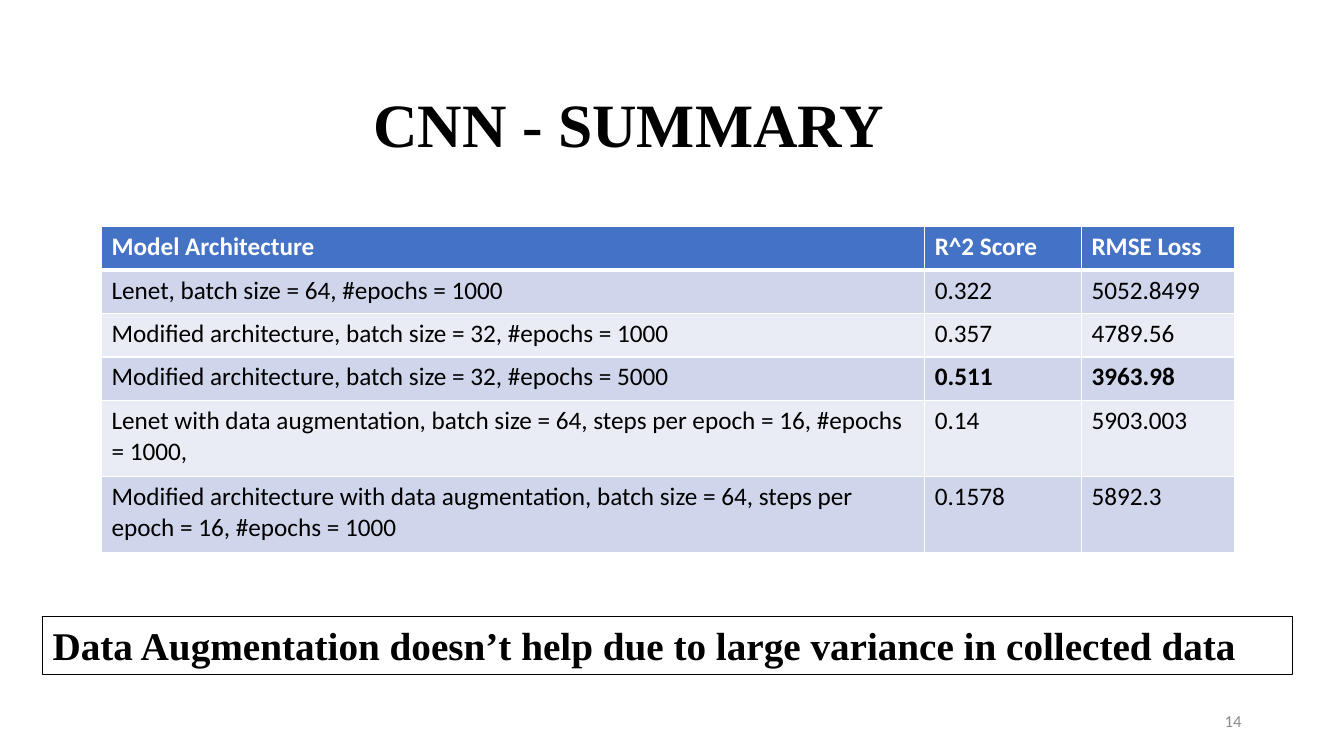
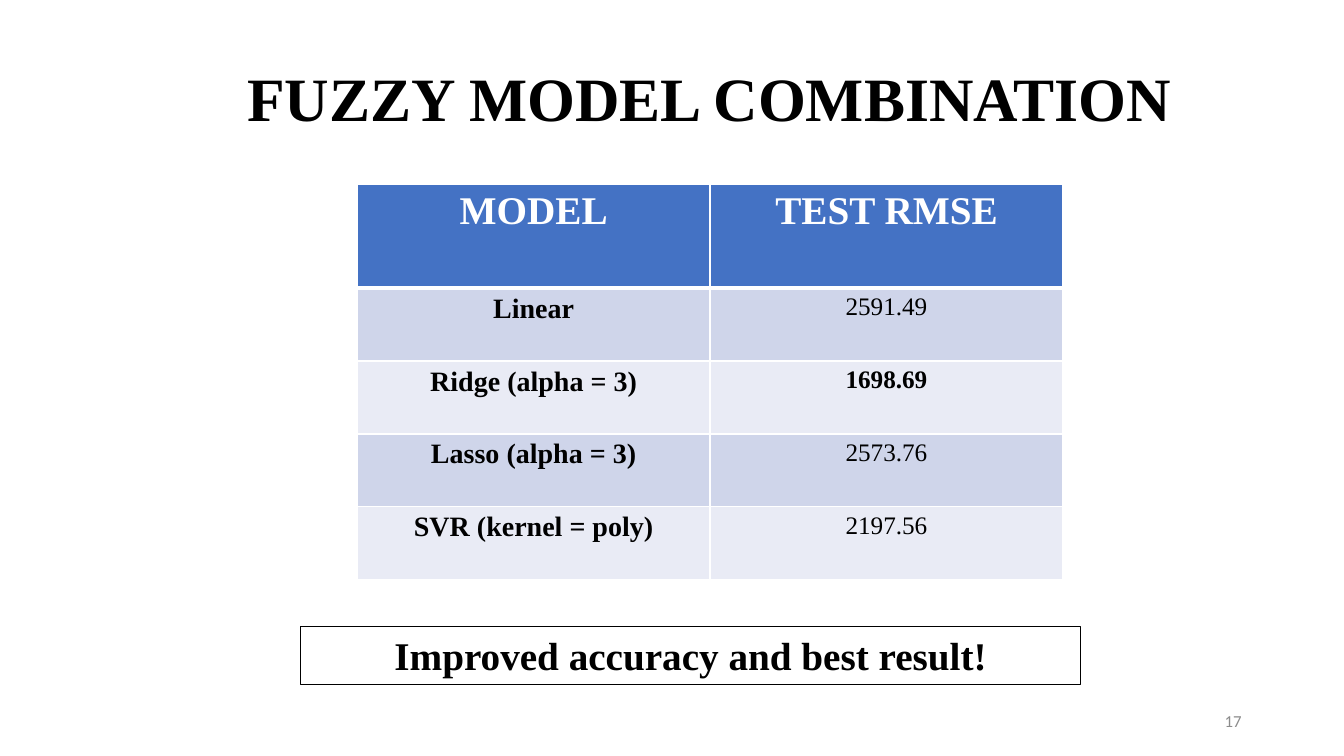
from lxml import etree
from pptx import Presentation
from pptx.dml.color import RGBColor
from pptx.enum import text as text_enum
from pptx.enum.shapes import MSO_SHAPE
from pptx.oxml.ns import qn
from pptx.util import Pt

COLORS = {
    "ink": "000000",
    "white": "FFFFFF",
    "header": "4472C4",
    "odd_row": "CFD5EA",
    "even_row": "E9EBF5",
    "number": "8C8C8C",
}
SERIF, SANS = "Times New Roman", "Calibri"
ALIGN, ANCHOR = text_enum.PP_ALIGN, text_enum.MSO_ANCHOR
TITLE_ONLY = 5


def color(name):
    return RGBColor.from_string(COLORS[name])


def write(frame, content, size=18, font=SANS, ink="ink", bold=False,
          align=ALIGN.LEFT, anchor=ANCHOR.TOP, spacing=None):
    frame.word_wrap = True
    frame.vertical_anchor = anchor
    paragraph = frame.paragraphs[0]
    paragraph.alignment = align
    if spacing:
        paragraph.line_spacing = spacing
    run = paragraph.add_run()
    run.text = content
    run.font.size = Pt(size)
    run.font.name = font
    run.font.bold = bold
    run.font.color.rgb = color(ink)


def add_title(slide, content, box):
    title = slide.shapes.title
    title.left, title.top, title.width, title.height = map(Pt, box)
    write(title.text_frame, content, size=44, font=SERIF, bold=True,
          align=ALIGN.CENTER, anchor=ANCHOR.MIDDLE, spacing=0.9)


def add_number(slide, number, box=(678, 500.5, 216, 28.75)):
    shape = slide.shapes.add_textbox(*map(Pt, box))
    write(shape.text_frame, str(number), size=12, ink="number",
          align=ALIGN.RIGHT, anchor=ANCHOR.MIDDLE)


def add_conclusion(slide, content, box, align=ALIGN.LEFT):
    shape = slide.shapes.add_shape(MSO_SHAPE.RECTANGLE, *map(Pt, box))
    shape.shadow.inherit = False
    shape.fill.background()
    shape.line.color.rgb = color("ink")
    shape.line.width = Pt(0.75)
    write(shape.text_frame, content, size=28, font=SERIF, bold=True, align=align)


def set_borders(cell, top, bottom):
    """Draw white cell borders; side borders are one point wide."""
    properties = cell._tc.get_or_add_tcPr()
    widths = {"a:lnL": 1, "a:lnR": 1, "a:lnT": top, "a:lnB": bottom}
    for position, (tag, width) in enumerate(widths.items()):
        line = etree.Element(qn(tag), w=str(Pt(width)))
        fill = etree.SubElement(line, qn("a:solidFill"))
        etree.SubElement(fill, qn("a:srgbClr"), val=COLORS["white"])
        properties.insert(position, line)


def add_results(slide, rows, origin, widths, heights, text_format):
    """Add a banded table; text_format(row, column) gives the text keywords."""
    box = (*origin, sum(widths), sum(heights))
    table = slide.shapes.add_table(len(rows), len(widths), *map(Pt, box)).table
    for column, width in zip(table.columns, widths):
        column.width = Pt(width)
    for r, (values, height) in enumerate(zip(rows, heights)):
        table.rows[r].height = Pt(height)
        fill = "header" if r == 0 else "odd_row" if r % 2 else "even_row"
        for c, value in enumerate(values):
            cell = table.cell(r, c)
            cell.fill.solid()
            cell.fill.fore_color.rgb = color(fill)
            set_borders(cell, top=3 if r == 1 else 1, bottom=3 if r == 0 else 1)
            write(cell.text_frame, value, ink="white" if r == 0 else "ink",
                  **text_format(r, c))


def cnn_format(row, column):
    best_row = 3
    return {"bold": row == 0 or (row == best_row and column > 0)}


def fuzzy_format(row, column):
    best_row = 2
    size = 28 if row == 0 else 20 if column == 0 else 18
    return {"size": size, "font": SERIF, "align": ALIGN.CENTER,
            "bold": row in (0, best_row) or column == 0}


def add_cnn_slide(presentation):
    slide = presentation.slides.add_slide(presentation.slide_layouts[TITLE_ONLY])
    add_title(slide, "CNN - SUMMARY", (35.5, 39, 828, 104.4))
    add_number(slide, 14)
    rows = [
        ("Model Architecture", "R^2 Score", "RMSE Loss"),
        ("Lenet, batch size = 64, #epochs = 1000", "0.322", "5052.8499"),
        ("Modified architecture, batch size = 32, #epochs = 1000", "0.357", "4789.56"),
        ("Modified architecture, batch size = 32, #epochs = 5000", "0.511", "3963.98"),
        ("Lenet with data augmentation, batch size = 64, steps per epoch = 16, "
         "#epochs = 1000,", "0.14", "5903.003"),
        ("Modified architecture with data augmentation, batch size = 64, "
         "steps per epoch = 16, #epochs = 1000", "0.1578", "5892.3"),
    ]
    add_results(slide, rows, (72.5, 162), (588, 112, 109.5),
                [31] * 4 + [54.5] * 2, cnn_format)
    add_conclusion(
        slide, "Data Augmentation doesn’t help due to large variance in collected data",
        (30.5, 440.5, 893, 41.2))


def add_fuzzy_slide(presentation):
    slide = presentation.slides.add_slide(presentation.slide_layouts[TITLE_ONLY])
    add_title(slide, "FUZZY MODEL COMBINATION", (129, 14.5, 756, 116.5))
    add_number(slide, 17)
    rows = [
        ("MODEL", "TEST RMSE"),
        ("Linear", "2591.49"),
        ("Ridge (alpha = 3)", "1698.69"),
        ("Lasso (alpha = 3)", "2573.76"),
        ("SVR (kernel = poly)", "2197.56"),
    ]
    add_results(slide, rows, (255.2, 131.8), (252, 252),
                [74] + [52.1] * 4, fuzzy_format)
    add_conclusion(slide, "Improved accuracy and best result!",
                   (215, 447.5, 556.5, 41.2), align=ALIGN.CENTER)


def main():
    presentation = Presentation()
    presentation.slide_width, presentation.slide_height = Pt(960), Pt(540)
    add_cnn_slide(presentation)
    add_fuzzy_slide(presentation)
    presentation.save("out.pptx")


if __name__ == "__main__":
    main()
